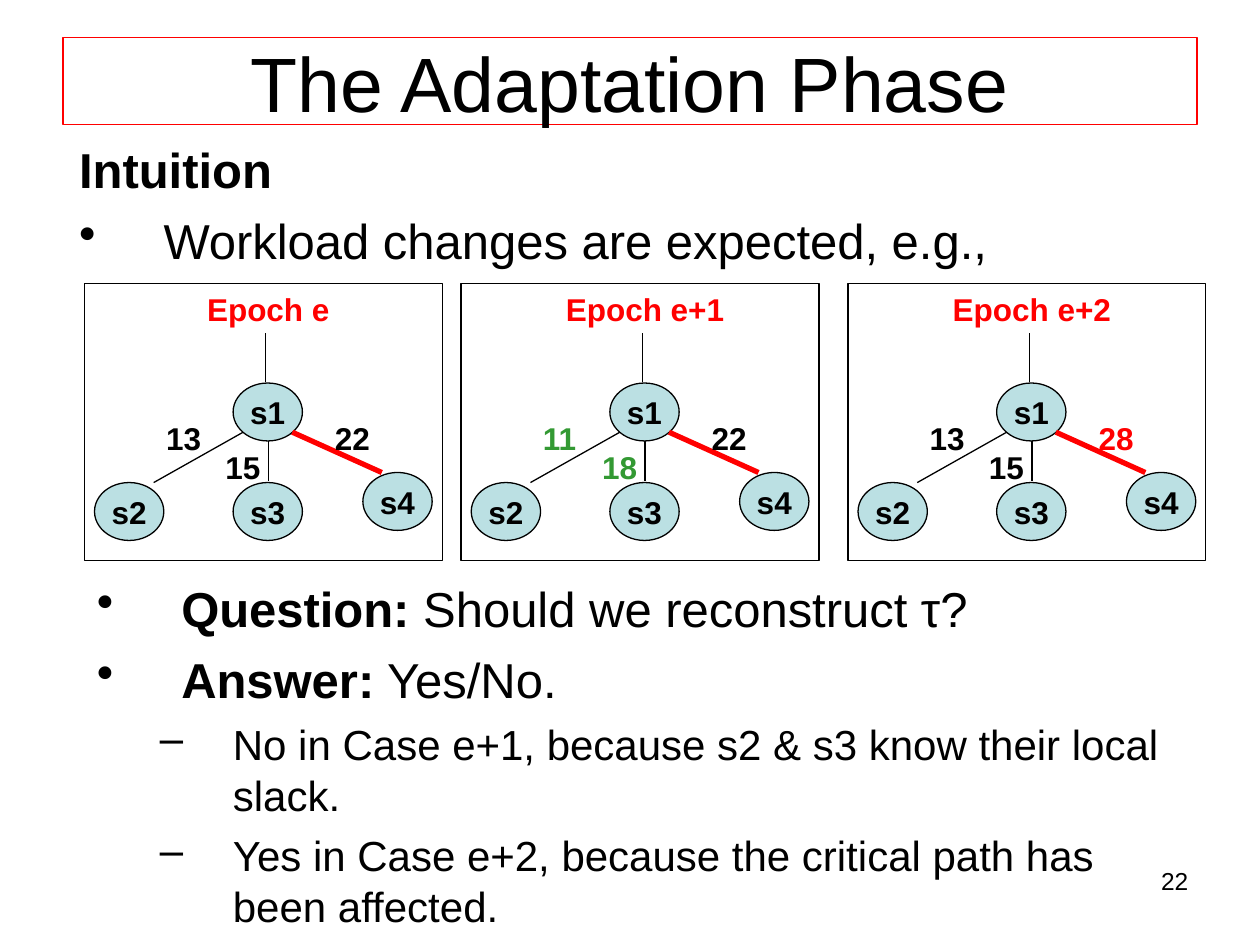
import pptx
import pptx.util
import pptx.oxml
import pptx.oxml.ns
import pptx.dml.color
import pptx.enum.shapes
import pptx.enum.text
import lxml.etree

RED = pptx.dml.color.RGBColor(0xFF, 0x00, 0x00)
BLACK = pptx.dml.color.RGBColor(0x00, 0x00, 0x00)
GREEN = pptx.dml.color.RGBColor(0x33, 0x99, 0x33)
AQUA = pptx.dml.color.RGBColor(0xBB, 0xE0, 0xE3)
KIND = pptx.enum.shapes.MSO_SHAPE
ALIGN = pptx.enum.text.PP_ALIGN
MIDDLE = pptx.enum.text.MSO_ANCHOR.MIDDLE

deck = pptx.Presentation()
deck.slide_width = pptx.util.Inches(10)
deck.slide_height = pptx.util.Inches(7.5)
COL = deck.slide_width / 100
ROW = deck.slide_height / 75
slide = deck.slides.add_slide(deck.slide_layouts[5])
shapes = slide.shapes


def area(x, y, w, h):
    return [round(x * COL), round(y * ROW), round(w * COL), round(h * ROW)]


def write(frame, *runs, size=18, color=BLACK, align=ALIGN.LEFT,
          bullet=None, left=0, hang=0, before=0, level=0, wrap=True):
    frame.word_wrap = wrap
    para = frame.paragraphs[0]
    if para.runs:
        para = frame.add_paragraph()
        para.space_before = pptx.util.Pt(before)
    para.level = level
    props = para._p.get_or_add_pPr()
    if bullet:
        props.set("marL", str(round(left * COL)))
        props.set("indent", str(round(-hang * COL)))
        mark = lxml.etree.SubElement(props, pptx.oxml.ns.qn("a:buChar"))
        mark.set("char", bullet)
    para.alignment = align
    for words, bold in runs:
        run = para.add_run()
        run.text = words
        run.font.name = "Arial"
        run.font.size = pptx.util.Pt(size)
        run.font.bold = bold
        run.font.color.rgb = color


title = shapes.title
title.left, title.top, title.width, title.height = area(5, 3, 90, 6.9)
title.line.color.rgb = RED
title.line.width = pptx.util.Pt(0.75)
title.text_frame.vertical_anchor = MIDDLE
title.text_frame.auto_size = pptx.enum.text.MSO_AUTO_SIZE.NONE
write(title.text_frame, ("The Adaptation Phase", False), size=44, align=ALIGN.CENTER)

point = dict(size=28, bullet="•", left=6.7, hang=6.7, before=7)
dash = dict(size=24, bullet="–", left=10.8, hang=5.8, before=6, level=1)

intro = shapes.add_textbox(*area(5.3, 10.6, 89, 11.9)).text_frame
write(intro, ("Intuition", True), size=28)
write(intro, ("Workload changes are expected, e.g.,", False), **point)

nodes = [("s1", 11.8, 7.9), ("s2", 0.8, 15.8), ("s3", 11.8, 15.8), ("s4", 22.1, 15)]
edges = [(14.4, 7.8, 14.4, 3.9, BLACK, 0.75), (14.6, 12.5, 14.6, 15.7, BLACK, 1),
         (5.5, 15.8, 12.6, 11.8, BLACK, 0.75), (23.6, 15, 16.5, 11.8, RED, 3)]
spots = [(5.5, 10.3), (10.2, 12.6), (18.9, 10.3)]
epochs = [
    (6.7, "Epoch e", [("13", BLACK), ("15", BLACK), ("22", BLACK)]),
    (36.6, "Epoch e+1", [("11", GREEN), ("18", GREEN), ("22", BLACK)]),
    (67.3, "Epoch e+2", [("13", BLACK), ("15", BLACK), ("28", RED)]),
]
top = 22.5

for left, name, costs in epochs:
    panel = shapes.add_shape(KIND.RECTANGLE, *area(left, top, 28.4, 22))
    panel.shadow.inherit = False
    panel.fill.background()
    panel.line.color.rgb = BLACK
    panel.line.width = pptx.util.Pt(0.75)

    for label, x, y in nodes:
        node = shapes.add_shape(KIND.OVAL, *area(left + x, top + y, 5.5, 4.6))
        node.shadow.inherit = False
        node.fill.solid()
        node.fill.fore_color.rgb = AQUA
        node.line.color.rgb = BLACK
        node.line.width = pptx.util.Pt(0.75)
        node.text_frame.vertical_anchor = MIDDLE
        write(node.text_frame, (label, True), align=ALIGN.CENTER, wrap=False)

    for x1, y1, x2, y2, color, width in edges:
        ends = area(left + x1, top + y1, left + x2, top + y2)
        edge = shapes.add_connector(pptx.enum.shapes.MSO_CONNECTOR.STRAIGHT, *ends)
        edge.line.color.rgb = color
        edge.line.width = pptx.util.Pt(width)
        lxml.etree.SubElement(edge._element.spPr, pptx.oxml.ns.qn("a:effectLst"))

    for (x, y), (cost, color) in zip(spots, costs):
        label = shapes.add_textbox(*area(left + x, top + y, 5.5, 4))
        write(label.text_frame, (cost, True), color=color)

    head = shapes.add_textbox(*area(left + 1.6, top, 26, 4))
    write(head.text_frame, (name, True), color=RED, align=ALIGN.CENTER)

notes = shapes.add_textbox(*area(6.7, 45.4, 88.2, 23.6)).text_frame
write(notes, ("Question:", True), (" Should we reconstruct τ?", False), **point)
write(notes, ("Answer:", True), (" Yes/No.", False), **point)
write(notes, ("No in Case e+1, because s2 & s3 know their local slack.", False), **dash)
write(notes, ("Yes in Case e+2, because the critical path has been affected.", False), **dash)

page = shapes.add_textbox(*area(72, 68.2, 23.3, 5.2))
write(page.text_frame, ("22", False), size=14, align=ALIGN.RIGHT)

deck.save("out.pptx")
